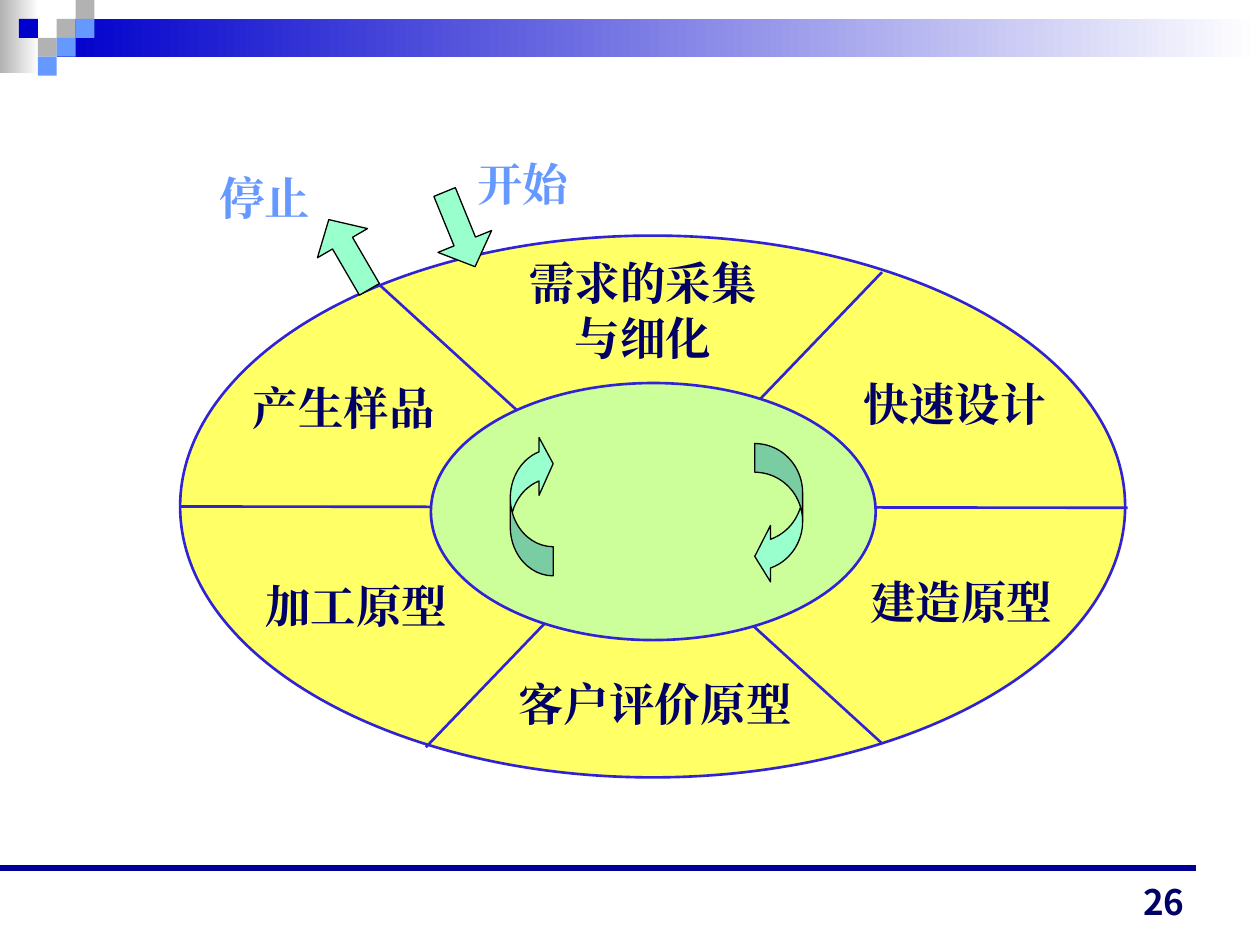
from lxml.etree import SubElement
from pptx import Presentation
from pptx.dml.color import RGBColor
from pptx.enum.shapes import MSO_CONNECTOR as Connector, MSO_SHAPE as Shape
from pptx.enum.text import MSO_ANCHOR as Anchor, PP_ALIGN as Align
from pptx.oxml.ns import qn
from pptx.util import Inches, Pt

BLUE, SKY, GRAY, NAVY = "0000CC", "6699FF", "B2B2B2", "000066"
OUTLINE, YELLOW, GREEN, MINT = "3023D5", "FFFF66", "CCFF99", "99FFCC"
SERIF, SANS = "Times New Roman", "Noto Sans CJK JP"


def color(value):
    """Turn a hex string into a colour."""
    return RGBColor.from_string(value)


def add_figure(slide, kind, box, fill, outline=None, weight=1.5, turn=0, adjust=()):
    """Add a preset shape with a plain fill, or a left-to-right gradient for a pair."""
    figure = slide.shapes.add_shape(kind, *map(Inches, box))
    figure.shadow.inherit = False
    figure.rotation = turn
    for index, ratio in enumerate(adjust):
        figure.adjustments[index] = ratio
    if isinstance(fill, tuple):
        figure.fill.gradient()
        figure.fill.gradient_angle = 0
        for stop, value in zip(figure.fill.gradient_stops, fill):
            stop.color.rgb = color(value)
    else:
        figure.fill.solid()
        figure.fill.fore_color.rgb = color(fill)
    if outline:
        figure.line.color.rgb = color(outline)
        figure.line.width = Pt(weight)
    else:
        figure.line.fill.background()


def add_line(slide, start, end, stroke=OUTLINE, weight=1.5):
    """Add a straight line without a shadow."""
    line = slide.shapes.add_connector(Connector.STRAIGHT, *map(Inches, start + end))
    line.line.color.rgb = color(stroke)
    line.line.width = Pt(weight)
    SubElement(line._element.spPr, qn("a:effectLst"))


def add_text(slide, text, box, size=26, font=SERIF, ink=NAVY,
             align=Align.CENTER, anchor=Anchor.TOP, spacing=Pt(31)):
    """Add a bold text box with one paragraph for each line of text."""
    frame = slide.shapes.add_textbox(*map(Inches, box)).text_frame
    frame.word_wrap = True
    frame.vertical_anchor = anchor
    frame.text = text
    for paragraph in frame.paragraphs:
        paragraph.alignment = align
        paragraph.line_spacing = spacing
        for run in paragraph.runs:
            run.font.size = Pt(size)
            run.font.bold = True
            run.font.name = font
            run.font.color.rgb = color(ink)
            SubElement(run.font._element, qn("a:ea"), typeface=font)


def add_banner(slide):
    """Draw the gradient bar, the mosaic of squares and the footer rule."""
    add_figure(slide, Shape.RECTANGLE, (0, 0, 0.31, 0.58), (GRAY, "FFFFFF"))
    add_figure(slide, Shape.RECTANGLE, (0.45, 0.15, 9.55, 0.3), (BLUE, "FFFFFF"))
    mosaic = [(3, 1, GRAY), (4, 0, GRAY), (4, 1, SKY), (2, 2, GRAY),
              (1, 1, BLUE), (3, 2, SKY), (2, 3, SKY)]
    side = 0.15
    for column, row, fill in mosaic:
        add_figure(slide, Shape.RECTANGLE, (column * side, row * side, side, side), fill)
    add_line(slide, (0, 6.89), (9.49, 6.89), "000099", 3)


def add_cycle(slide):
    """Draw the ring with its six stages and the turning arrows in the middle."""
    add_figure(slide, Shape.OVAL, (1.43, 1.87, 7.5, 4.3), YELLOW, OUTLINE)
    for start, end in [((7, 2.16), (3.38, 5.93)), ((1.43, 4.02), (8.95, 4.03)),
                       ((3, 2.25), (7, 5.9))]:
        add_line(slide, start, end)
    add_figure(slide, Shape.OVAL, (3.42, 3.04, 3.53, 2.04), GREEN, OUTLINE)
    stages = [("需求的采集\n与细化", (3.78, 1.98, 2.65, 0.9)),
              ("快速设计", (6.44, 2.94, 2.28, 0.6)),
              ("建造原型", (6.49, 4.51, 2.28, 0.6)),
              ("客户评价原型", (3.68, 5.32, 3.04, 0.6)),
              ("加工原型", (1.69, 4.54, 2.28, 0.6)),
              ("产生样品", (1.59, 2.97, 2.28, 0.6))]
    for stage, box in stages:
        add_text(slide, stage, box)
    for box, turn, adjust in [((5.99, 3.52, 0.38, 1.12), 0, (0.6, 1.18, 0.33)),
                              ((4.05, 3.45, 0.34, 1.12), 180, (0.68, 1.35, 0.33))]:
        add_figure(slide, Shape.CURVED_LEFT_ARROW, box, MINT, "000000", 0.75, turn, adjust)


def add_gates(slide):
    """Draw the stop and start arrows with their labels."""
    gates = [("停止", (1.64, 1.3), (2.54, 1.7), 149.8),
             ("开始", (3.69, 1.19), (3.42, 1.5), 337.8)]
    for label, label_corner, arrow_corner, turn in gates:
        add_figure(slide, Shape.DOWN_ARROW, arrow_corner + (0.46, 0.64), MINT,
                   "000000", 0.75, turn, (0.4, 0.47))
        add_text(slide, label, label_corner + (1.6, 0.64), ink=SKY, align=Align.JUSTIFY)


def main():
    """Build the slide and save it."""
    deck = Presentation()
    deck.slide_width, deck.slide_height = Inches(10), Inches(7.5)
    slide = deck.slides.add_slide(deck.slide_layouts[6])
    add_banner(slide)
    add_cycle(slide)
    add_gates(slide)
    add_text(slide, "26", (7.17, 6.92, 2.33, 0.45), size=20, font=SANS,
             align=Align.RIGHT, anchor=Anchor.BOTTOM, spacing=None)
    deck.save("out.pptx")


if __name__ == "__main__":
    main()
